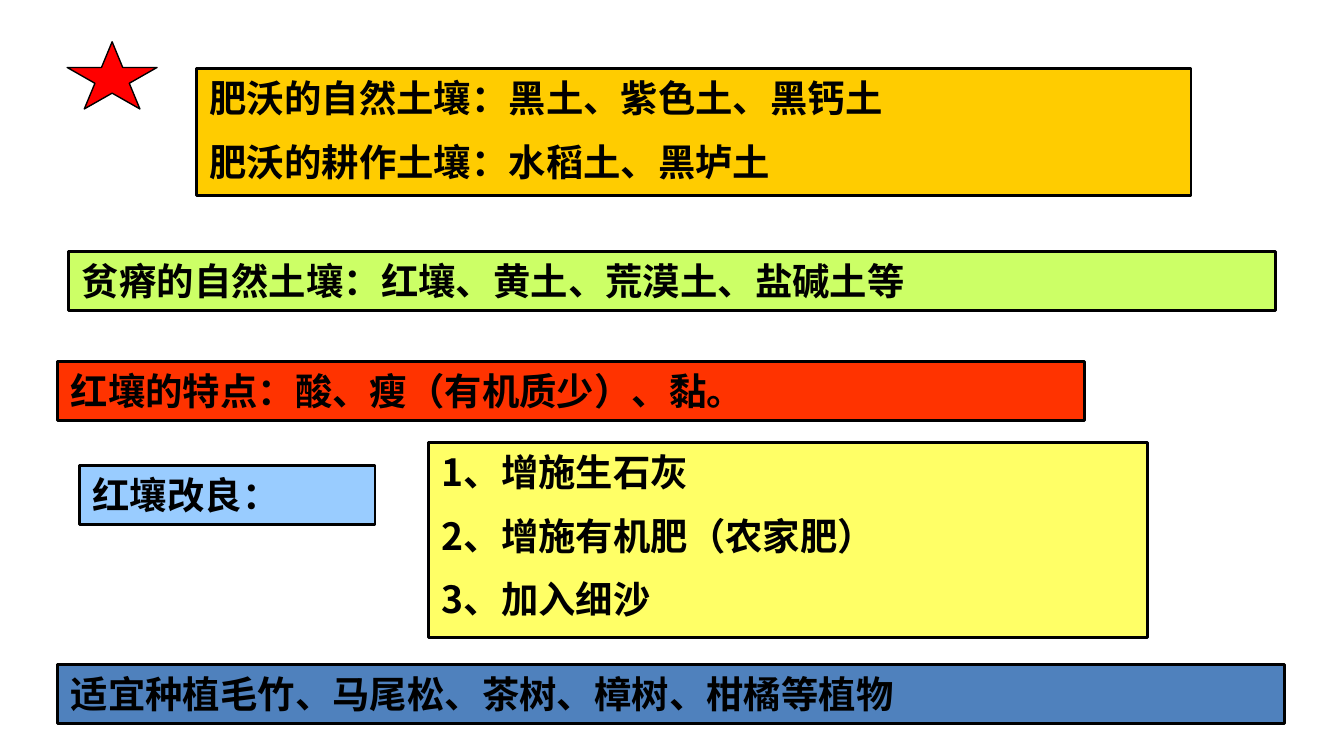
from pptx import Presentation
from pptx.dml.color import RGBColor
from pptx.enum.shapes import MSO_SHAPE
from pptx.enum.text import MSO_ANCHOR, PP_ALIGN
from pptx.util import Cm, Pt

RECTANGLE = MSO_SHAPE.RECTANGLE
STAR = MSO_SHAPE.STAR_5_POINT
TOP = MSO_ANCHOR.TOP
LEFT = PP_ALIGN.LEFT

COLORS = {
    "black": "000000",
    "gold": "FFCC00",
    "lime": "CCFF66",
    "sky": "99CCFF",
    "orange_red": "FF3300",
    "yellow": "FFFF66",
    "blue": "4F81BD",
    "red": "FF0000",
}
LATO = "Lato"
NOTO = "Noto Sans CJK SC"
LINE_HEIGHT = 1.12

# left, top, width, height in cm; fill; font; lines
soil_notes = [
    (3.71, 1.3, 18.8, 2.39, "gold", NOTO,
     ["肥沃的自然土壤：黑土、紫色土、黑钙土", "肥沃的耕作土壤：水稻土、黑垆土"]),
    (1.3, 4.75, 22.81, LINE_HEIGHT, "lime", LATO,
     ["贫瘠的自然土壤：红壤、黄土、荒漠土、盐碱土等"]),
    (1.5, 8.79, 5.59, LINE_HEIGHT, "sky", LATO, ["红壤改良："]),
    (1.09, 6.83, 19.41, LINE_HEIGHT, "orange_red", LATO,
     ["红壤的特点：酸、瘦（有机质少）、黏。"]),
    (8.1, 8.36, 13.59, 3.68, "yellow", NOTO,
     ["1、增施生石灰", "2、增施有机肥（农家肥）", "3、加入细沙"]),
    (1.09, 12.55, 23.19, LINE_HEIGHT, "blue", LATO,
     ["适宜种植毛竹、马尾松、茶树、樟树、柑橘等植物"]),
]

prs = Presentation()
prs.slide_width, prs.slide_height = Cm(25.4), Cm(14.28)
slide = prs.slides.add_slide(prs.slide_layouts[6])


def add_outlined(kind, left, top, width, height, fill, line_width):
    shape = slide.shapes.add_shape(kind, Cm(left), Cm(top), Cm(width), Cm(height))
    shape.shadow.inherit = False
    shape.fill.solid()
    shape.fill.fore_color.rgb = RGBColor.from_string(COLORS[fill])
    shape.line.color.rgb = RGBColor.from_string(COLORS["black"])
    shape.line.width = Pt(line_width)
    return shape


for left, top, width, height, fill, font_name, lines in soil_notes:
    note = add_outlined(RECTANGLE, left, top, width, height, fill, 1.5)
    frame = note.text_frame
    frame.word_wrap = True
    frame.vertical_anchor = TOP
    for index, line in enumerate(lines):
        paragraph = frame.paragraphs[0] if index == 0 else frame.add_paragraph()
        paragraph.text = line
        paragraph.alignment = LEFT
        if index:
            paragraph.space_before = Pt(10)
        paragraph.font.name = font_name
        paragraph.font.size = Pt(20)
        paragraph.font.bold = True
        paragraph.font.color.rgb = RGBColor.from_string(COLORS["black"])

add_outlined(STAR, 1.27, 0.79, 1.7, 1.27, "red", 0.75)

prs.save("out.pptx")
